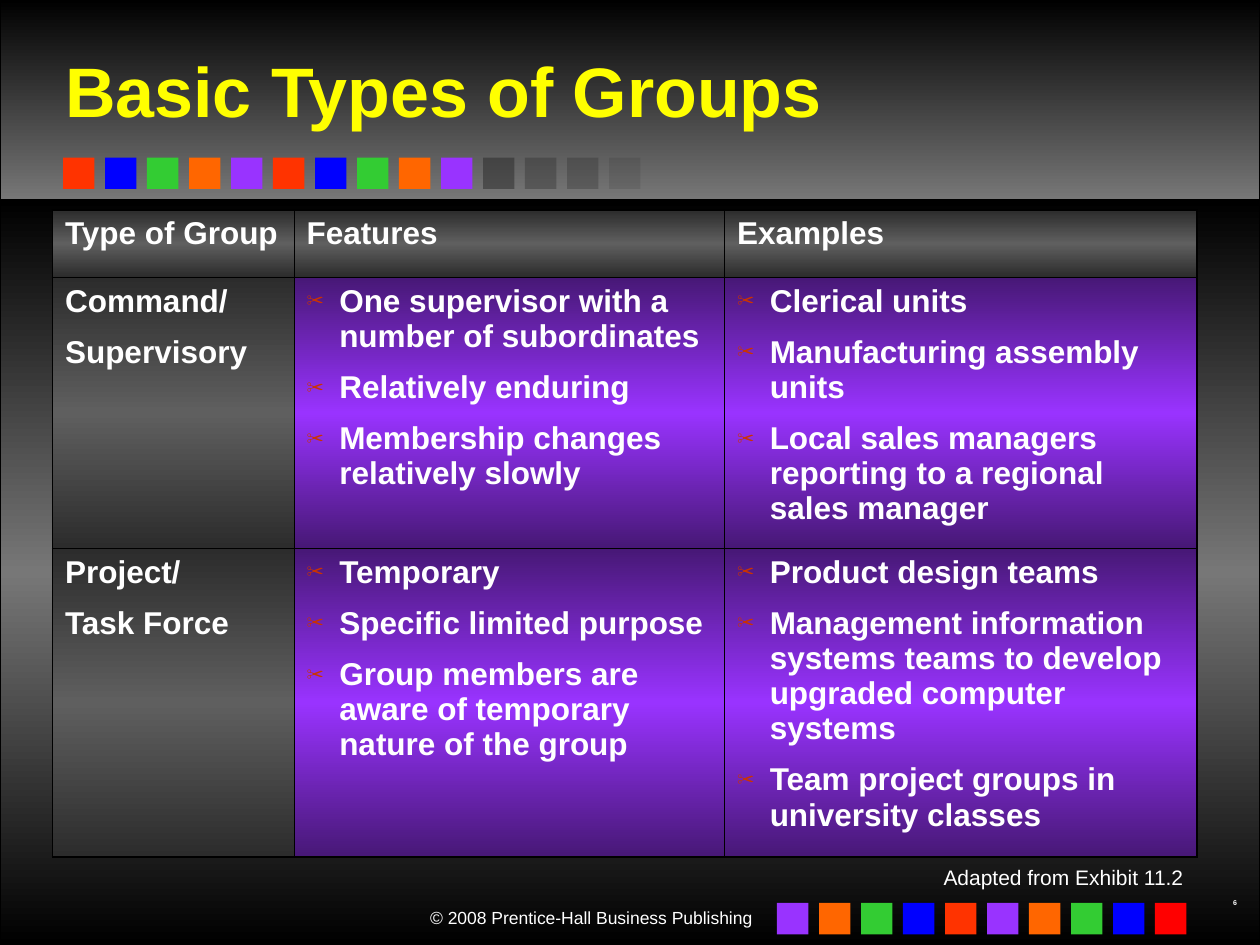
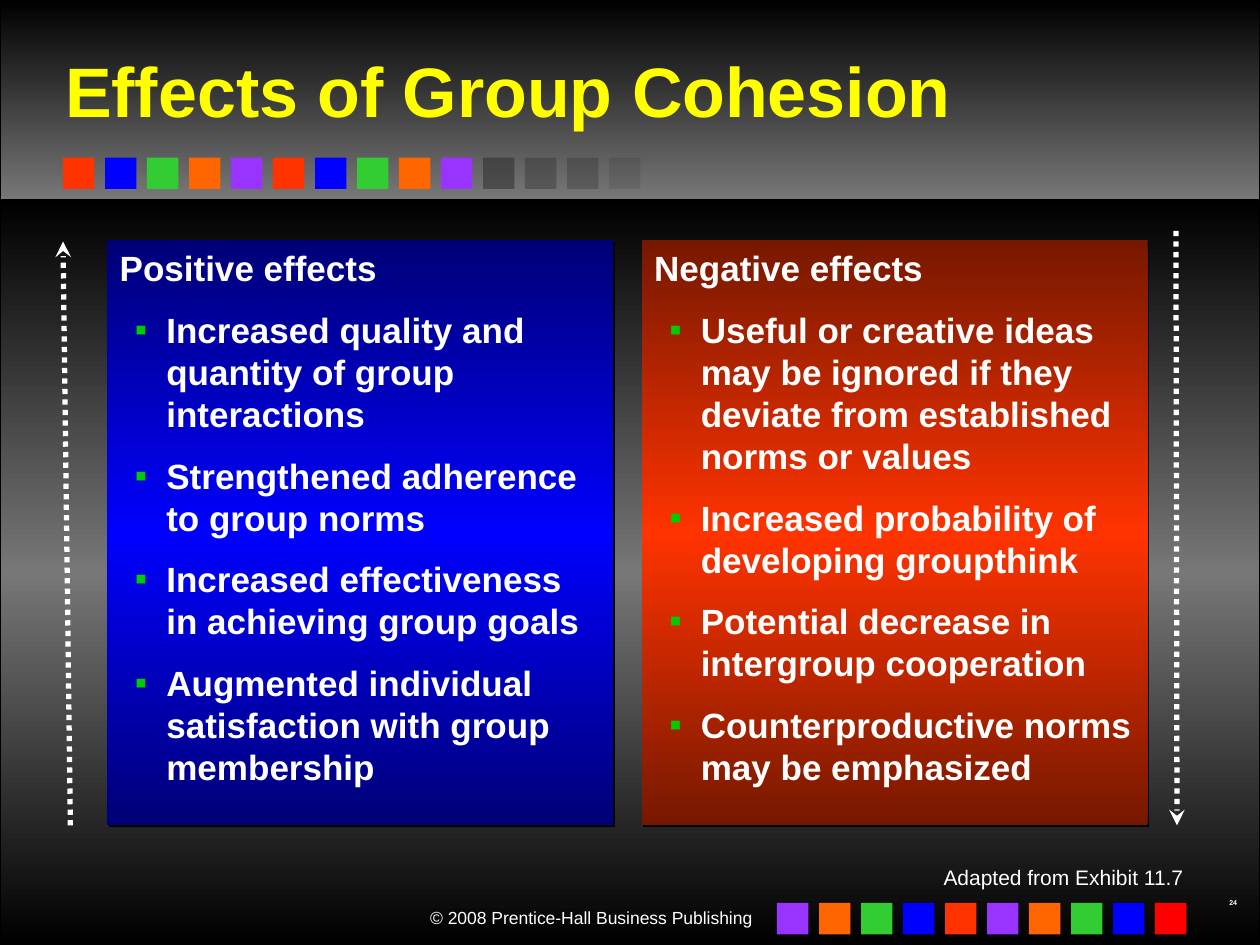
"""Build two slides on group types and group cohesion."""
from copy import deepcopy

from lxml import etree
from pptx import Presentation
from pptx.dml.color import RGBColor
from pptx.enum.dml import MSO_LINE
from pptx.enum.shapes import MSO_CONNECTOR, MSO_SHAPE
from pptx.enum.text import MSO_ANCHOR, MSO_AUTO_SIZE, PP_ALIGN
from pptx.oxml.ns import qn
from pptx.util import Inches, Pt

LEFT, RIGHT = PP_ALIGN.LEFT, PP_ALIGN.RIGHT
MIDDLE = MSO_ANCHOR.MIDDLE
NO_FIT = MSO_AUTO_SIZE.NONE
RECTANGLE = MSO_SHAPE.RECTANGLE
STRAIGHT = MSO_CONNECTOR.STRAIGHT
DOTTED = MSO_LINE.ROUND_DOT

COLUMNS, ROWS = 120, 90
TWO_CONTENT, TITLE_ONLY = 3, 5
FONT = "Arial"
WHITE, BLACK, YELLOW, GREY = "FFFFFF", "000000", "FFFF00", "777777"
RED, BLUE, GREEN, ORANGE, PURPLE = "FF3300", "0000FF", "33CC33", "FF6600", "9933FF"
CHARCOAL = "292929"
TOP_TILES = [RED, BLUE, GREEN, ORANGE, PURPLE] * 2
FADING_TILES = [50, 35, 30, 15]
BOTTOM_TILES = [PURPLE, ORANGE, GREEN, BLUE, RED, PURPLE, ORANGE, GREEN, BLUE, "FF0000"]
GREY_GLOW = ["2C2C2C", "5F5F5F", "2C2C2C"]
PURPLE_GLOW = ["471876", PURPLE, "471876"]
BLUE_GLOW = ["000076", BLUE, "000076"]
RED_GLOW = ["761800", RED, "761800"]

GROUP_HEADER = ["Type of Group", "Features", "Examples"]
GROUP_TYPES = [
    [
        ["Command/", "Supervisory"],
        ["One supervisor with a number of subordinates", "Relatively enduring",
         "Membership changes relatively slowly"],
        ["Clerical units", "Manufacturing assembly units",
         "Local sales managers reporting to a regional sales manager"],
    ],
    [
        ["Project/", "Task Force"],
        ["Temporary", "Specific limited purpose",
         "Group members are aware of temporary nature of the group"],
        ["Product design teams",
         "Management information systems teams to develop upgraded computer systems",
         "Team project groups in university classes"],
    ],
]
POSITIVE = [
    "Positive effects",
    "Increased quality and quantity of group interactions",
    "Strengthened adherence to group norms",
    "Increased effectiveness in achieving group goals",
    "Augmented individual satisfaction with group membership",
]
NEGATIVE = [
    "Negative effects",
    "Useful or creative ideas may be ignored if they deviate from established norms or values",
    "Increased probability of developing groupthink",
    "Potential decrease in intergroup cooperation",
    "Counterproductive norms may be emphasized",
]


def color(value):
    """Turn a hex string into a colour."""
    return RGBColor.from_string(value)


def add_xml(parent, tag, **attributes):
    """Append a drawing element and return it."""
    return etree.SubElement(parent, qn(tag), attributes)


def add_shadow(parent, distance):
    """Append a solid black shadow that falls to the lower right."""
    effects = add_xml(parent, "a:effectLst")
    shadow = add_xml(effects, "a:outerShdw", dist=str(Pt(distance)), dir="2700000")
    add_xml(shadow, "a:srgbClr", val=BLACK)
    return effects


def glow(fill, element, hues):
    """Fill with a vertical gradient of evenly spaced hues."""
    fill.gradient()
    fill.gradient_angle = 270
    stops = next(element.iter(qn("a:gsLst")))
    for _ in hues[2:]:
        stops.append(deepcopy(stops[0]))
    for index, (stop, hue) in enumerate(zip(fill.gradient_stops, hues)):
        stop.color.rgb = color(hue)
        stop.position = index / (len(hues) - 1)


def bullet(paragraph, sign, hue, hang, margin, percent=100):
    """Give a paragraph a coloured bullet and a hanging indent."""
    settings = paragraph._p.get_or_add_pPr()
    settings.set("marL", str(Inches(margin)))
    settings.set("indent", str(-Inches(hang)))
    add_xml(add_xml(settings, "a:buClr"), "a:srgbClr", val=hue)
    add_xml(settings, "a:buSzPct", val=str(percent * 1000))
    add_xml(settings, "a:buFont", typeface=FONT)
    add_xml(settings, "a:buChar", char=sign)


def no_bullet(paragraph):
    """Remove the inherited bullet and indent."""
    settings = paragraph._p.get_or_add_pPr()
    settings.set("marL", "0")
    settings.set("indent", "0")
    add_xml(settings, "a:buNone")


class Composer:
    """Hold the deck's style and the current slide."""

    def __init__(self):
        self.deck = Presentation()
        self.deck.slide_width, self.deck.slide_height = Inches(10), Inches(7.5)
        self.slide = None

    def across(self, columns):
        """Convert grid columns to a length."""
        return round(self.deck.slide_width * columns / COLUMNS)

    def down(self, rows):
        """Convert grid rows to a length."""
        return round(self.deck.slide_height * rows / ROWS)

    def area(self, left, top, width, height):
        """Convert a grid area to lengths."""
        return self.across(left), self.down(top), self.across(width), self.down(height)

    def place(self, shape, area):
        """Move and size a shape on the grid."""
        shape.left, shape.top, shape.width, shape.height = self.area(*area)

    def fill_text(self, frame, texts, size, bold=False, hue=WHITE, align=LEFT, gap=0):
        """Set one paragraph per text and return the paragraphs."""
        frame.text = "\n".join(texts)
        for index, paragraph in enumerate(frame.paragraphs):
            paragraph.alignment = align
            paragraph.space_before = Pt(gap if index else 0)
            for span in paragraph.runs:
                font = span.font
                font.name, font.size, font.bold = FONT, Pt(size), bold
                font.color.rgb = color(hue)
        return frame.paragraphs

    def label(self, text, area, size, bold=False):
        """Add a right-aligned line of text."""
        box = self.slide.shapes.add_textbox(*self.area(*area))
        box.text_frame.word_wrap = True
        self.fill_text(box.text_frame, [text], size, bold, align=RIGHT)
        return box

    def band(self, area, hues):
        """Add a gradient band with a thin outline."""
        shape = self.slide.shapes.add_shape(RECTANGLE, *self.area(*area))
        shape.shadow.inherit = False
        glow(shape.fill, shape.element, hues)
        shape.line.color.rgb = color(BLACK)
        shape.line.width = Pt(0.75)
        return shape

    def tile(self, column, row, hue, opacity=100):
        """Add a small square."""
        shape = self.slide.shapes.add_shape(RECTANGLE, *self.area(column, row, 3, 3))
        shape.shadow.inherit = False
        shape.fill.solid()
        shape.fill.fore_color.rgb = color(hue)
        shape.line.fill.background()
        if opacity < 100:
            shade = next(shape.element.iter(qn("a:srgbClr")))
            add_xml(shade, "a:alpha", val=str(opacity * 1000))
        return shape

    def dress_master(self):
        """Put the bands, tiles and copyright line on the slide master."""
        fading = [(CHARCOAL, opacity) for opacity in FADING_TILES]
        top_row = [(hue, 100) for hue in TOP_TILES] + fading
        shapes = [
            self.band((0, 0, COLUMNS, 19), [BLACK, GREY]),
            self.band((0, 19, COLUMNS, 71), [BLACK, GREY, BLACK]),
            self.label("© 2008 Prentice-Hall Business Publishing", (35, 85.8, 37.8, 3.2), 10),
        ]
        shapes += [self.tile(6 + 4 * index, 15, *style) for index, style in enumerate(top_row)]
        shapes += [self.tile(74 + 4 * index, 86, hue) for index, hue in enumerate(BOTTOM_TILES)]
        tree = self.deck.slide_master.shapes.element
        for number, shape in enumerate(shapes, 100):
            next(shape.element.iter(qn("p:cNvPr"))).set("id", str(number))
            tree.append(shape.element)

    def start(self, layout, title, number, exhibit):
        """Start a slide with its title, number and credit."""
        self.slide = self.deck.slides.add_slide(self.deck.slide_layouts[layout])
        if len(self.deck.slides) == 1:
            self.dress_master()
        heading = self.slide.shapes.title
        self.place(heading, (5, 3, 113, 11))
        frame = heading.text_frame
        frame.vertical_anchor, frame.auto_size = MIDDLE, NO_FIT
        span = self.fill_text(frame, [title], 40, True, YELLOW)[0].runs[0]
        settings = span._r.get_or_add_rPr()
        settings.find(qn("a:solidFill")).addnext(add_shadow(settings, 2))
        self.label(str(number), (113, 85, 6, 2), 4, True)
        credit = self.label(f"Adapted from Exhibit {exhibit}", (85, 82, 28.9, 3.4), 12)
        credit.text_frame.paragraphs[0].line_spacing = 0.9

    def table(self, left, top, widths, heights, header, body):
        """Add a table with a plain first row and first column and bulleted cells."""
        rows = [[[text] for text in header]] + body
        area = self.area(left, top, sum(widths), sum(heights))
        table = self.slide.shapes.add_table(len(rows), len(widths), *area).table
        table.first_row = table.horz_banding = False
        for column, width in zip(table.columns, widths):
            column.width = self.across(width)
        for row, height in zip(table.rows, heights):
            row.height = self.down(height)
        for row, cells in enumerate(rows):
            for column, texts in enumerate(cells):
                cell = table.cell(row, column)
                paragraphs = self.fill_text(cell.text_frame, texts, 18, True, gap=9)
                outer = {"L": column == 0, "R": column == len(widths) - 1,
                         "T": row == 0, "B": row == len(rows) - 1}
                self.borders(cell, outer)
                listed = row > 0 and column > 0
                glow(cell.fill, cell._tc, PURPLE_GLOW if listed else GREY_GLOW)
                for paragraph in paragraphs if listed else []:
                    bullet(paragraph, "✂", "CC3300", 0.26, 0.26, 55)

    def borders(self, cell, outer):
        """Draw black cell borders, heavier on the outer sides."""
        settings = cell._tc.get_or_add_tcPr()
        for side, heavy in outer.items():
            line = add_xml(settings, f"a:ln{side}", w=str(Pt(1.08 if heavy else 0.45)))
            add_xml(add_xml(line, "a:solidFill"), "a:srgbClr", val=BLACK)

    def panel(self, placeholder, area, hues, texts):
        """Turn a body placeholder into a glowing panel with a heading and a list."""
        self.place(placeholder, area)
        glow(placeholder.fill, placeholder.element, hues)
        add_shadow(placeholder.element.spPr, 1.4)
        placeholder.text_frame.auto_size = NO_FIT
        heading, *points = self.fill_text(placeholder.text_frame, texts, 20, True, gap=11.2)
        no_bullet(heading)
        for point in points:
            point.level = 1
            bullet(point, "▪", "00CC00", 0.25, 0.37)

    def arrow(self, start, end):
        """Add a dotted white arrow between two grid points."""
        ends = [self.across(start[0]), self.down(start[1]), self.across(end[0]), self.down(end[1])]
        connector = self.slide.shapes.add_connector(STRAIGHT, *ends)
        connector.line.color.rgb = color(WHITE)
        connector.line.width = Pt(3)
        connector.line.dash_style = DOTTED
        add_xml(next(connector.element.iter(qn("a:ln"))), "a:tailEnd", type="stealth")
        add_xml(connector.element.spPr, "a:effectLst")


def main():
    """Compose both slides and save the deck."""
    composer = Composer()
    composer.start(TITLE_ONLY, "Basic Types of Groups", 6, "11.2")
    composer.table(5, 20, [23, 41, 45], [6.4, 25.8, 29.4], GROUP_HEADER, GROUP_TYPES)

    composer.start(TWO_CONTENT, "Effects of Group Cohesion", 24, "11.7")
    positive, negative = list(composer.slide.placeholders)[1:3]
    composer.panel(positive, (10.2, 22.9, 48.2, 55.7), BLUE_GLOW, POSITIVE)
    composer.panel(negative, (61.1, 22.9, 48.2, 55.7), RED_GLOW, NEGATIVE)
    composer.arrow((6.7, 78.6), (6, 23))
    composer.arrow((112, 22), (112.1, 78.6))
    composer.deck.save("out.pptx")


if __name__ == "__main__":
    main()
